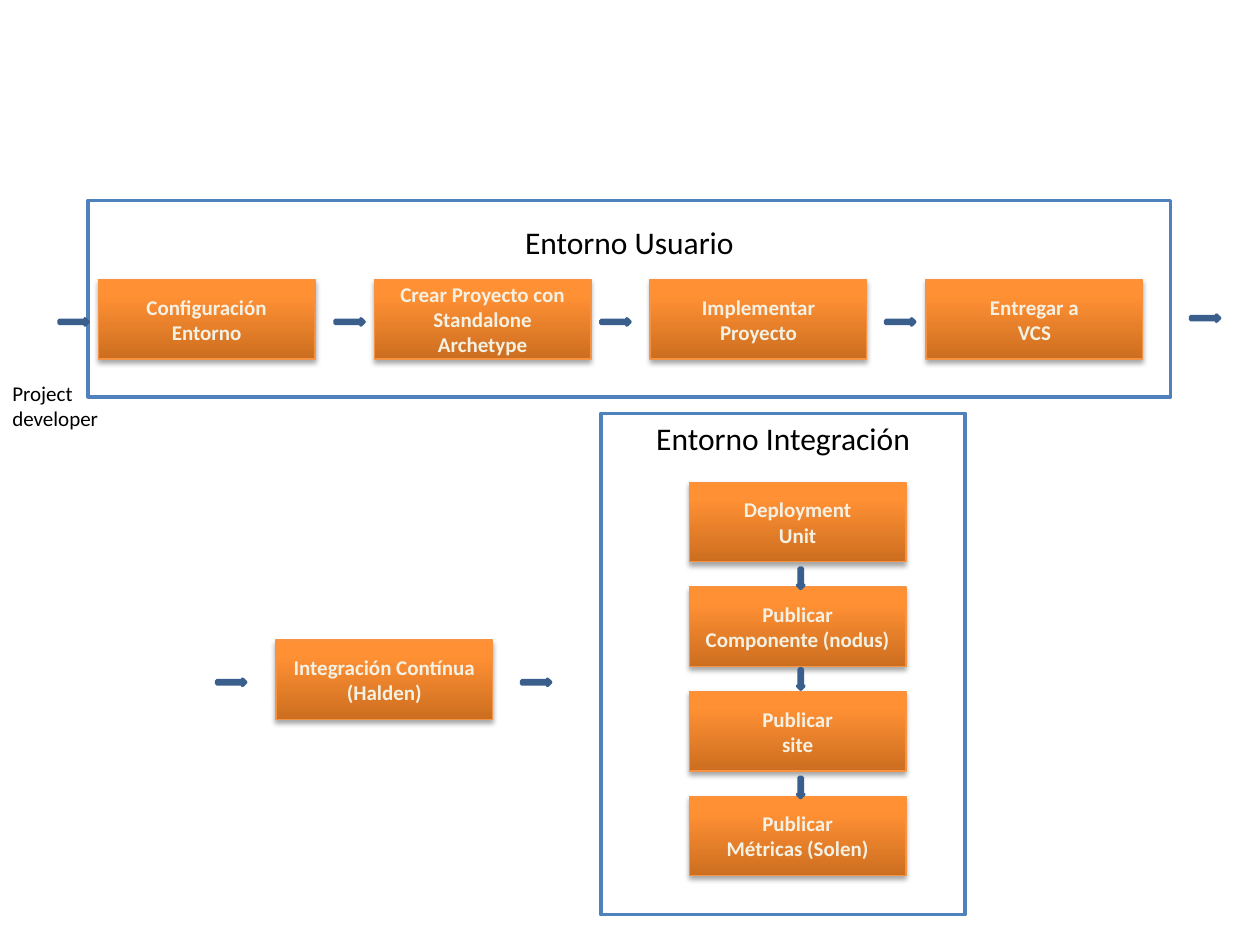
from pptx import Presentation
from pptx.dml.color import RGBColor
from pptx.enum.shapes import MSO_SHAPE
from pptx.enum.text import MSO_ANCHOR, PP_ALIGN
from pptx.oxml import parse_xml
from pptx.oxml.ns import nsdecls, qn
from pptx.util import Inches, Pt

RECTANGLE, RIGHT, DOWN = MSO_SHAPE.RECTANGLE, MSO_SHAPE.RIGHT_ARROW, MSO_SHAPE.DOWN_ARROW
TOP, MIDDLE = MSO_ANCHOR.TOP, MSO_ANCHOR.MIDDLE
LEFT, CENTER = PP_ALIGN.LEFT, PP_ALIGN.CENTER

WHITE = RGBColor(0xFF, 0xFF, 0xFF)
BLACK = RGBColor(0, 0, 0)
CREAM = RGBColor(0xF4, 0xF1, 0xE3)
BLUE = RGBColor(0x4F, 0x81, 0xBD)
DARK_BLUE = RGBColor(0x3A, 0x5F, 0x8C)
ORANGE = RGBColor(0xF6, 0x92, 0x40)
STEP_GRADIENT = [(0, "CC6E20"), (80, "FF9034"), (100, "FF9136")]

# title, (left, top, width, height), space above the title
PANELS = [
    ("Entorno Integración", (4.77, 3.28, 2.89, 3.98), 0.05),
    ("Entorno Usuario", (0.7, 1.59, 8.59, 1.56), 0.18),
]
USER_STEPS = [
    ["Configuración", "Entorno"],
    ["Crear Proyecto con", "Standalone", "Archetype"],
    ["Implementar", "Proyecto"],
    ["Entregar a", "VCS"],
]
CONTINUOUS_STEP = ["Integración Contínua", "(Halden)"]
INTEGRATION_STEPS = [
    ["Deployment", "Unit"],
    ["Publicar", "Componente (nodus)"],
    ["Publicar", "site"],
    ["Publicar", "Métricas (Solen)"],
]
ROLE = "Project developer"

STEP_W, STEP_H = 1.72, 0.63
USER_LEFT, USER_TOP, USER_PITCH = 0.78, 2.22, 2.19
INTEGRATION_LEFT, INTEGRATION_TOP, INTEGRATION_PITCH = 5.47, 3.83, 0.83
CONTINUOUS_AT = (2.19, 5.08)
ARROW_THICKNESS = 0.05
RIGHT_ARROWS = [(0.47, 2.53), (2.66, 2.53), (4.77, 2.53), (7.03, 2.53),
                (9.45, 2.5), (1.72, 5.39), (4.14, 5.39)]
DOWN_ARROWS = [(6.33, 4.51), (6.33, 5.31), (6.33, 6.17)]

prs = Presentation()
prs.slide_width, prs.slide_height = Inches(10), Inches(7.5)
slide = prs.slides.add_slide(prs.slide_layouts[6])


def add_box(kind, box, fill, line, line_width):
    shape = slide.shapes.add_shape(kind, *map(Inches, box))
    shape.shadow.inherit = False
    shape.fill.solid()
    shape.fill.fore_color.rgb = fill
    shape.line.color.rgb = line
    shape.line.width = Pt(line_width)
    return shape


def write(shape, lines, size, color, bold=False, align=CENTER, anchor=MIDDLE):
    frame = shape.text_frame
    frame.word_wrap = True
    frame.vertical_anchor = anchor
    frame.text = "\n".join(lines)
    for paragraph in frame.paragraphs:
        paragraph.alignment = align
        font = paragraph.font
        font.name, font.size, font.bold = "Calibri", Pt(size), bold
        font.color.rgb = color


def add_step(lines, left, top):
    """Add an orange box, dark at the bottom, with a soft shadow below."""
    step = add_box(RECTANGLE, (left, top, STEP_W, STEP_H), ORANGE, ORANGE, 0.75)
    write(step, lines, 12, CREAM, bold=True)
    properties = step.element.spPr
    stops = "".join(f'<a:gs pos="{share * 1000}"><a:srgbClr val="{color}"/></a:gs>'
                    for share, color in STEP_GRADIENT)
    gradient = parse_xml(f'<a:gradFill {nsdecls("a")} rotWithShape="1"><a:gsLst>{stops}</a:gsLst>'
                         '<a:lin ang="16200000" scaled="0"/></a:gradFill>')
    properties.replace(properties.find(qn("a:solidFill")), gradient)
    properties.find(qn("a:effectLst")).append(parse_xml(
        f'<a:outerShdw {nsdecls("a")} blurRad="{Pt(3.1)}" dist="{Pt(1.8)}" dir="5400000"'
        ' rotWithShape="0"><a:srgbClr val="000000"><a:alpha val="35000"/></a:srgbClr>'
        '</a:outerShdw>'))


for title, box, space in PANELS:
    panel = add_box(RECTANGLE, box, WHITE, BLUE, 2)
    write(panel, [title], 18, BLACK, anchor=TOP)
    panel.text_frame.margin_top = Inches(space)

for column, lines in enumerate(USER_STEPS):
    add_step(lines, USER_LEFT + column * USER_PITCH, USER_TOP)
add_step(CONTINUOUS_STEP, *CONTINUOUS_AT)
for row, lines in enumerate(INTEGRATION_STEPS):
    add_step(lines, INTEGRATION_LEFT, INTEGRATION_TOP + row * INTEGRATION_PITCH)

for kind, places, size in [(RIGHT, RIGHT_ARROWS, (0.23, ARROW_THICKNESS)),
                           (DOWN, DOWN_ARROWS, (ARROW_THICKNESS, 0.16))]:
    for place in places:
        add_box(kind, place + size, BLUE, DARK_BLUE, 2)

role = slide.shapes.add_textbox(*map(Inches, (0, 2.97, 0.94, 0.5)))
write(role, [ROLE], 12, BLACK, align=LEFT, anchor=TOP)

prs.save("out.pptx")
